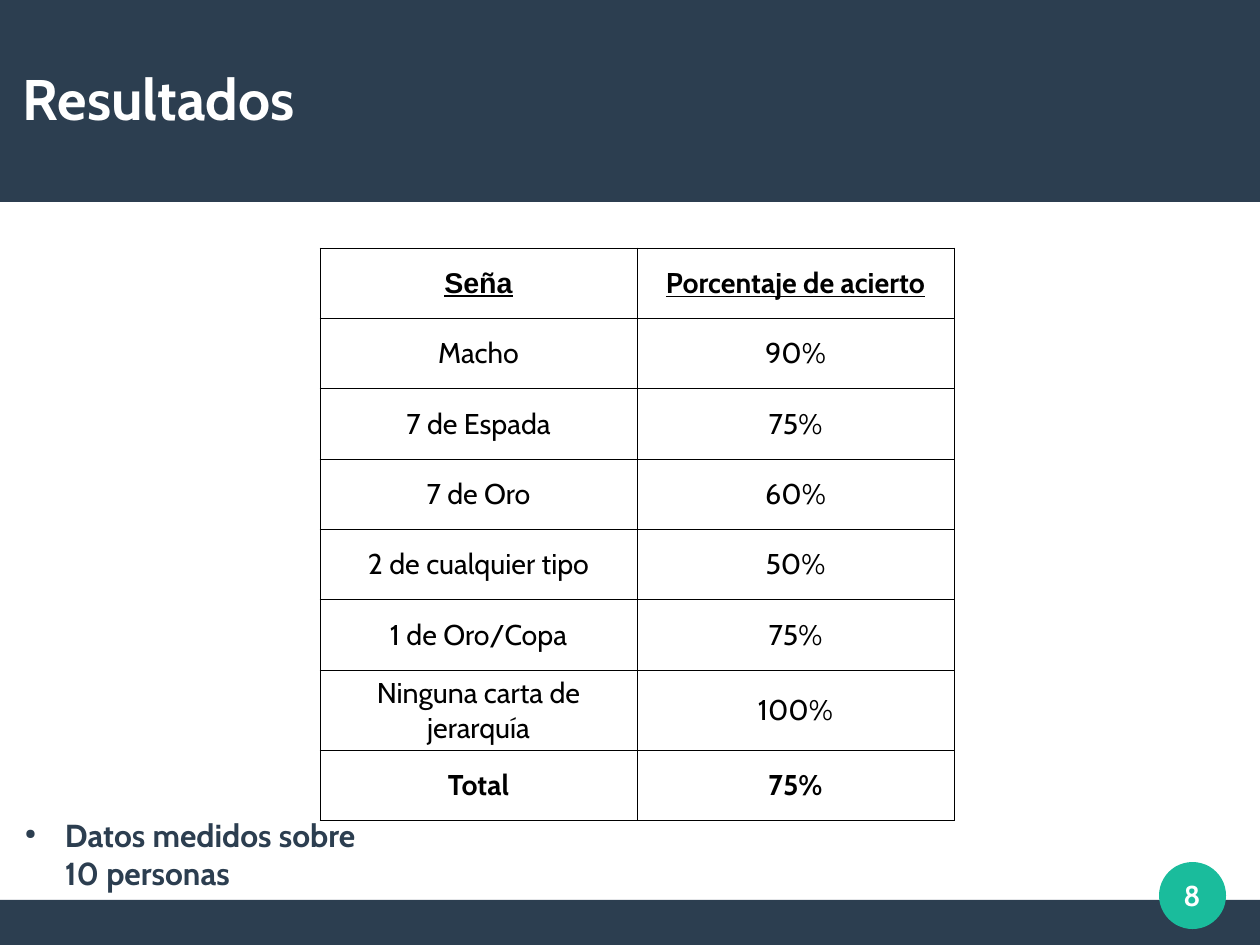
from lxml.etree import SubElement
from pptx import Presentation
from pptx.dml.color import RGBColor
from pptx.enum.shapes import MSO_SHAPE
from pptx.enum.text import MSO_ANCHOR, PP_ALIGN
from pptx.oxml import parse_xml
from pptx.oxml.ns import nsdecls, qn
from pptx.util import Emu, Pt

PX = 8000
COLORS = {"navy": "2C3E50", "teal": "1ABC9C", "white": "FFFFFF", "black": "000000"}
RESULTS = [
    ("Seña", "Porcentaje de acierto"),
    ("Macho", "90%"),
    ("7 de Espada", "75%"),
    ("7 de Oro", "60%"),
    ("2 de cualquier tipo", "50%"),
    ("1 de Oro/Copa", "75%"),
    ("Ninguna carta de jerarquía", "100%"),
    ("Total", "75%"),
]


def px(*values):
    return [Emu(v * PX) for v in values]


def rgb(name):
    return RGBColor.from_string(COLORS[name])


class SlideBuilder:
    font = "Cabin"

    def __init__(self, prs):
        self.s = prs.slides.add_slide(prs.slide_layouts[6])

    def shape(self, kind, box, color):
        sp = self.s.shapes.add_shape(kind, *px(*box))
        sp.shadow.inherit = False
        sp.fill.solid()
        sp.fill.fore_color.rgb = rgb(color)
        sp.line.fill.background()

    def run(self, p, text, size, color, bold=True, underline=False, font=None):
        r = p.add_run()
        r.text = text
        r.font.name = font or self.font
        r.font.size = Pt(size)
        r.font.bold = bold
        r.font.underline = underline
        r.font.color.rgb = rgb(color)

    def text(self, box, text, size, color, align=PP_ALIGN.LEFT, anchor=MSO_ANCHOR.MIDDLE):
        tf = self.s.shapes.add_textbox(*px(*box)).text_frame
        tf.word_wrap = True
        tf.margin_left = tf.margin_right = tf.margin_top = tf.margin_bottom = 0
        tf.vertical_anchor = anchor
        p = tf.paragraphs[0]
        p.alignment = align
        self.run(p, text, size, color)
        return p

    def bullet(self, box, text, size, color):
        p = self.text(box, text, size, color, anchor=MSO_ANCHOR.TOP)
        p.space_after = Pt(14.1)
        pPr = p._p.get_or_add_pPr()
        pPr.set("marL", str(54 * PX))
        pPr.set("indent", str(-40 * PX))
        clr = SubElement(pPr, qn("a:buClr"))
        SubElement(clr, qn("a:srgbClr"), val=COLORS[color])
        SubElement(pPr, qn("a:buSzPct"), val="45000")
        SubElement(pPr, qn("a:buChar"), char="●")

    def borders(self, cell, color, width):
        tcPr = cell._tc.get_or_add_tcPr()
        for i, side in enumerate("LRTB"):
            tcPr.insert(i, parse_xml(
                f'<a:ln{side} {nsdecls("a")} w="{Pt(width)}"><a:solidFill>'
                f'<a:srgbClr val="{COLORS[color]}"/></a:solidFill></a:ln{side}>'))

    def table(self, box, rows):
        table = self.s.shapes.add_table(len(rows), len(rows[0]), *px(*box)).table
        table.first_row = table.horz_banding = False
        for i, row in enumerate(rows):
            for j, text in enumerate(row):
                cell = table.cell(i, j)
                cell.fill.background()
                cell.vertical_anchor = MSO_ANCHOR.MIDDLE
                self.borders(cell, "black", 0.57)
                p = cell.text_frame.paragraphs[0]
                p.alignment = PP_ALIGN.CENTER
                header = i == 0
                self.run(p, text, 18, "black", bold=header or i == len(rows) - 1,
                         underline=header, font="Arial" if header and j == 0 else None)


def main():
    prs = Presentation()
    prs.slide_width, prs.slide_height = px(1260, 945)
    b = SlideBuilder(prs)
    b.shape(MSO_SHAPE.RECTANGLE, (0, 900, 1260, 45), "navy")
    b.shape(MSO_SHAPE.RECTANGLE, (0, 0, 1260, 202), "navy")
    b.shape(MSO_SHAPE.OVAL, (1159, 862, 67, 67), "teal")
    b.text((23, 38, 1170, 120), "Resultados", 36, "white")
    b.table((320, 248, 634, 563), RESULTS)
    b.bullet((11, 816, 370, 71), "Datos medidos sobre 10 personas", 20, "navy")
    b.text((1147, 850, 90, 90), "8", 18, "white", PP_ALIGN.CENTER)
    prs.save("out.pptx")


if __name__ == "__main__":
    main()
